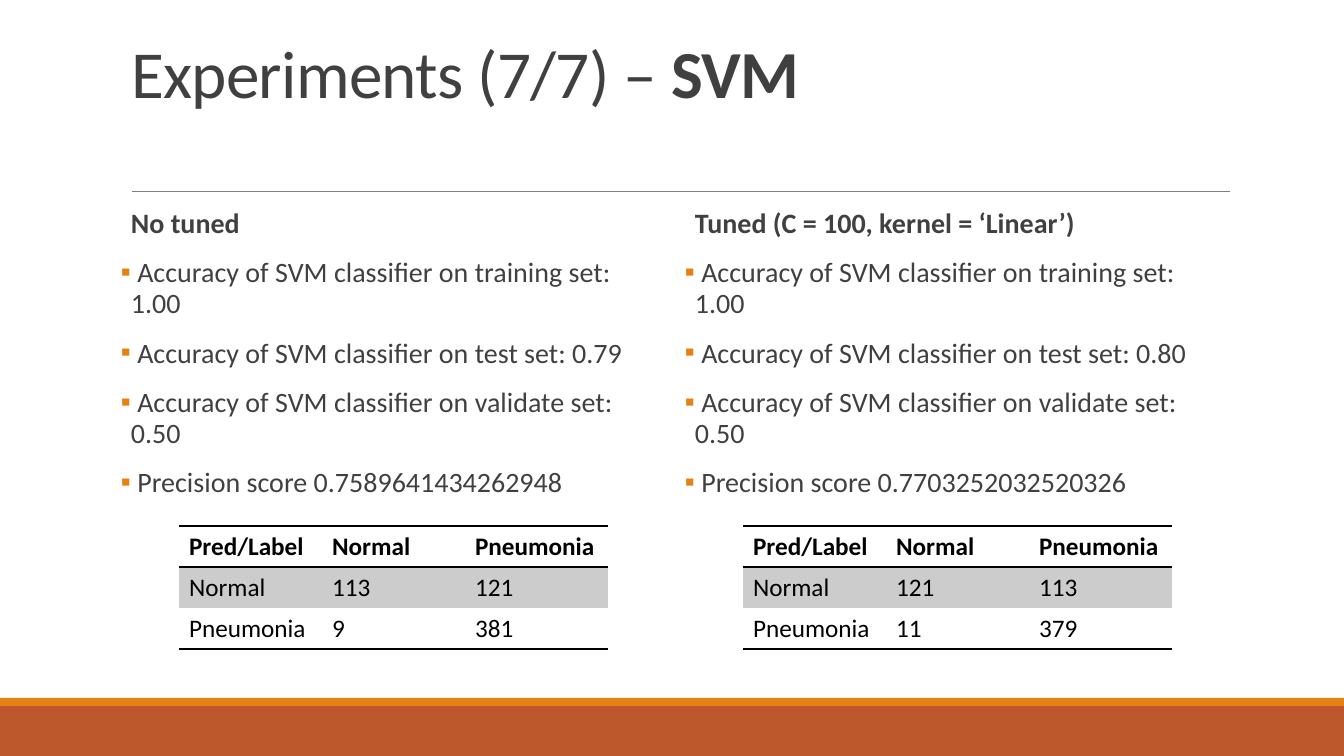
from dataclasses import dataclass

from lxml import etree
from pptx import Presentation
from pptx.dml.color import RGBColor
from pptx.enum.shapes import MSO_CONNECTOR, MSO_SHAPE
from pptx.enum.text import MSO_ANCHOR, MSO_AUTO_SIZE, PP_ALIGN
from pptx.oxml.ns import qn
from pptx.util import Emu, Pt

RECTANGLE = MSO_SHAPE.RECTANGLE
STRAIGHT = MSO_CONNECTOR.STRAIGHT
BOTTOM = MSO_ANCHOR.BOTTOM
NO_AUTOFIT = MSO_AUTO_SIZE.NONE
LEFT = PP_ALIGN.LEFT

FONT = "Calibri"
BLACK, GREY_TEXT, GREY_LINE, BAND_GREY = "000000", "404040", "808080", "CCCCCC"
ORANGE, RUST = "E48312", "BD582C"

SLIDE_WIDTH, SLIDE_HEIGHT = 1344, 756
CONTENT_LEFT = 121
CONTENT_TOP, COLUMN_WIDTH, COLUMN_STEP = 204, 544, 564
TABLE_INDENT, TABLE_TOP = 58, 526
CELL_WIDTH, CELL_HEIGHT = 143, 41
TEXT_INDENT = 10


@dataclass
class Bar:
    top: int
    height: int
    color: str


@dataclass
class Result:
    heading: str
    height: int
    test_accuracy: str
    precision: str
    confusion: list[list[str]]


BARS = [Bar(706, 50, RUST), Bar(698, 8, ORANGE)]

RESULTS = [
    Result("No tuned", 444, "0.79", "0.7589641434262948",
           [["113", "121"], ["9", "381"]]),
    Result("Tuned (C = 100, kernel = ‘Linear’)", 477, "0.80", "0.7703252032520326",
           [["121", "113"], ["11", "379"]]),
]


def px(length: int) -> Emu:
    return Emu(round(length * 914400 / 100.8))


def rgb(color: str) -> RGBColor:
    return RGBColor.from_string(color)


def style_font(font, size: int, color: str, bold: bool) -> None:
    font.name = FONT
    font.size = Pt(size)
    font.bold = bold
    font.color.rgb = rgb(color)


def draw_bar(slide, bar: Bar) -> None:
    shape = slide.shapes.add_shape(
        RECTANGLE, 0, px(bar.top), px(SLIDE_WIDTH), px(bar.height))
    shape.shadow.inherit = False
    shape.fill.solid()
    shape.fill.fore_color.rgb = rgb(bar.color)
    shape.line.fill.background()


def draw_rule(slide) -> None:
    rule = slide.shapes.add_connector(STRAIGHT, px(132), px(191), px(1230), px(191))
    rule.line.color.rgb = rgb(GREY_LINE)
    rule.line.width = Pt(0.5)
    etree.SubElement(rule._element.spPr, qn("a:effectLst"))


def draw_title(slide) -> None:
    title = slide.shapes.title
    title.left, title.top = px(CONTENT_LEFT), px(31)
    title.width, title.height = px(1109), px(161)
    frame = title.text_frame
    frame.auto_size = NO_AUTOFIT
    frame.word_wrap = True
    frame.vertical_anchor = BOTTOM
    frame.margin_bottom = px(80)
    paragraph = frame.paragraphs[0]
    paragraph.alignment = LEFT
    paragraph.line_spacing = 0.85
    for text, bold in (("Experiments (7/7) – ", False), ("SVM", True)):
        run = paragraph.add_run()
        run.text = text
        style_font(run.font, 48, GREY_TEXT, bold)
        run._r.get_or_add_rPr().set("spc", "-50")


def set_bullet(paragraph, visible: bool) -> None:
    properties = paragraph._p.get_or_add_pPr()
    properties.set("marL", str(px(TEXT_INDENT)))
    properties.set("indent", str(-px(TEXT_INDENT) if visible else 0))
    if visible:
        color = etree.SubElement(properties, qn("a:buClr"))
        etree.SubElement(color, qn("a:srgbClr"), val=ORANGE)
        etree.SubElement(properties, qn("a:buFont"), typeface=FONT)
        etree.SubElement(properties, qn("a:buChar"), char="▪")
    else:
        etree.SubElement(properties, qn("a:buNone"))


def draw_scores(slide, result: Result, left: int) -> None:
    box = slide.shapes.add_textbox(
        px(left), px(CONTENT_TOP), px(COLUMN_WIDTH), px(result.height))
    frame = box.text_frame
    frame.word_wrap = True
    frame.margin_left = frame.margin_right = 0
    lines = [
        result.heading,
        " Accuracy of SVM classifier on training set: 1.00",
        f" Accuracy of SVM classifier on test set: {result.test_accuracy}",
        " Accuracy of SVM classifier on validate set: 0.50",
        f" Precision score {result.precision}",
    ]
    frame.text = "\n".join(lines)
    for index, paragraph in enumerate(frame.paragraphs):
        paragraph.line_spacing = 0.9
        paragraph.space_before = Pt(12)
        paragraph.space_after = Pt(2)
        set_bullet(paragraph, visible=index > 0)
        style_font(paragraph.runs[0].font, 20, GREY_TEXT, bold=index == 0)


def set_borders(cell, ruled_sides: str) -> None:
    properties = cell._tc.get_or_add_tcPr()
    for side in "LRTB":
        line = etree.SubElement(properties, qn(f"a:ln{side}"), w=str(Pt(1)))
        if side in ruled_sides:
            fill = etree.SubElement(line, qn("a:solidFill"))
            etree.SubElement(fill, qn("a:srgbClr"), val=BLACK)
        else:
            etree.SubElement(line, qn("a:noFill"))


def draw_confusion_table(slide, result: Result, left: int) -> None:
    labels = ["Normal", "Pneumonia"]
    rows = [["Pred/Label", *labels]]
    rows += [[label, *counts] for label, counts in zip(labels, result.confusion)]
    ruled_sides = ["TB", "T", "B"]
    size = len(rows)
    table = slide.shapes.add_table(
        size, size, px(left), px(TABLE_TOP),
        px(CELL_WIDTH * size), px(CELL_HEIGHT * size)).table
    table.first_row = table.horz_banding = False
    for row_index, row in enumerate(rows):
        table.rows[row_index].height = px(CELL_HEIGHT)
        table.columns[row_index].width = px(CELL_WIDTH)
        for column_index, text in enumerate(row):
            cell = table.cell(row_index, column_index)
            cell.text_frame.text = text
            run = cell.text_frame.paragraphs[0].runs[0]
            style_font(run.font, 18, BLACK, bold=row_index == 0)
            set_borders(cell, ruled_sides[row_index])
            if row_index == 1:
                cell.fill.solid()
                cell.fill.fore_color.rgb = rgb(BAND_GREY)
            else:
                cell.fill.background()


def main() -> None:
    presentation = Presentation()
    presentation.slide_width = px(SLIDE_WIDTH)
    presentation.slide_height = px(SLIDE_HEIGHT)
    title_only = presentation.slide_layouts.get_by_name("Title Only")
    slide = presentation.slides.add_slide(title_only)

    # Footer bars and title
    for bar in BARS:
        draw_bar(slide, bar)
    draw_rule(slide)
    draw_title(slide)

    # One column for each classifier
    for index, result in enumerate(RESULTS):
        left = CONTENT_LEFT + index * COLUMN_STEP
        draw_scores(slide, result, left)
        draw_confusion_table(slide, result, left + TABLE_INDENT)

    presentation.save("out.pptx")


if __name__ == "__main__":
    main()
